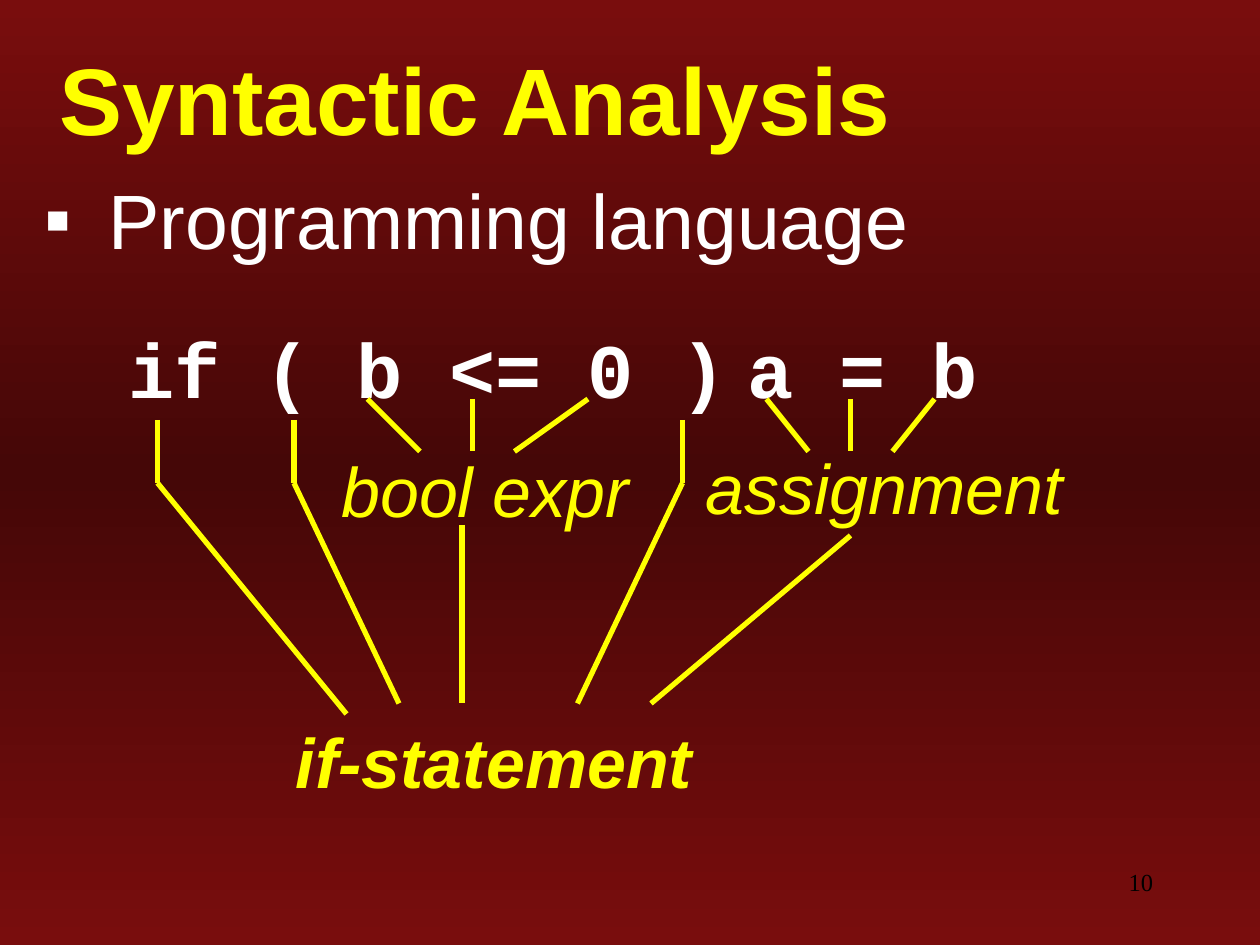
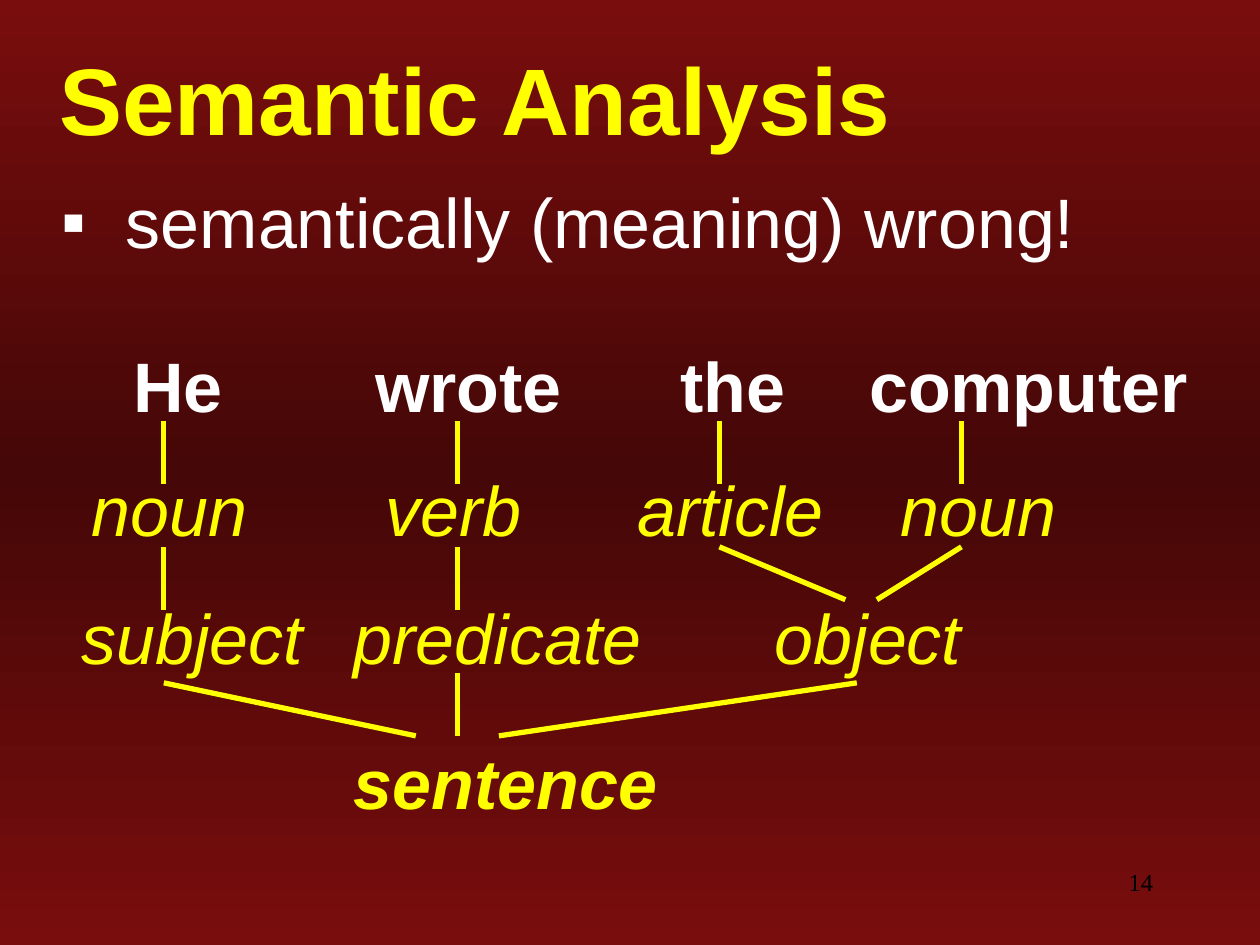
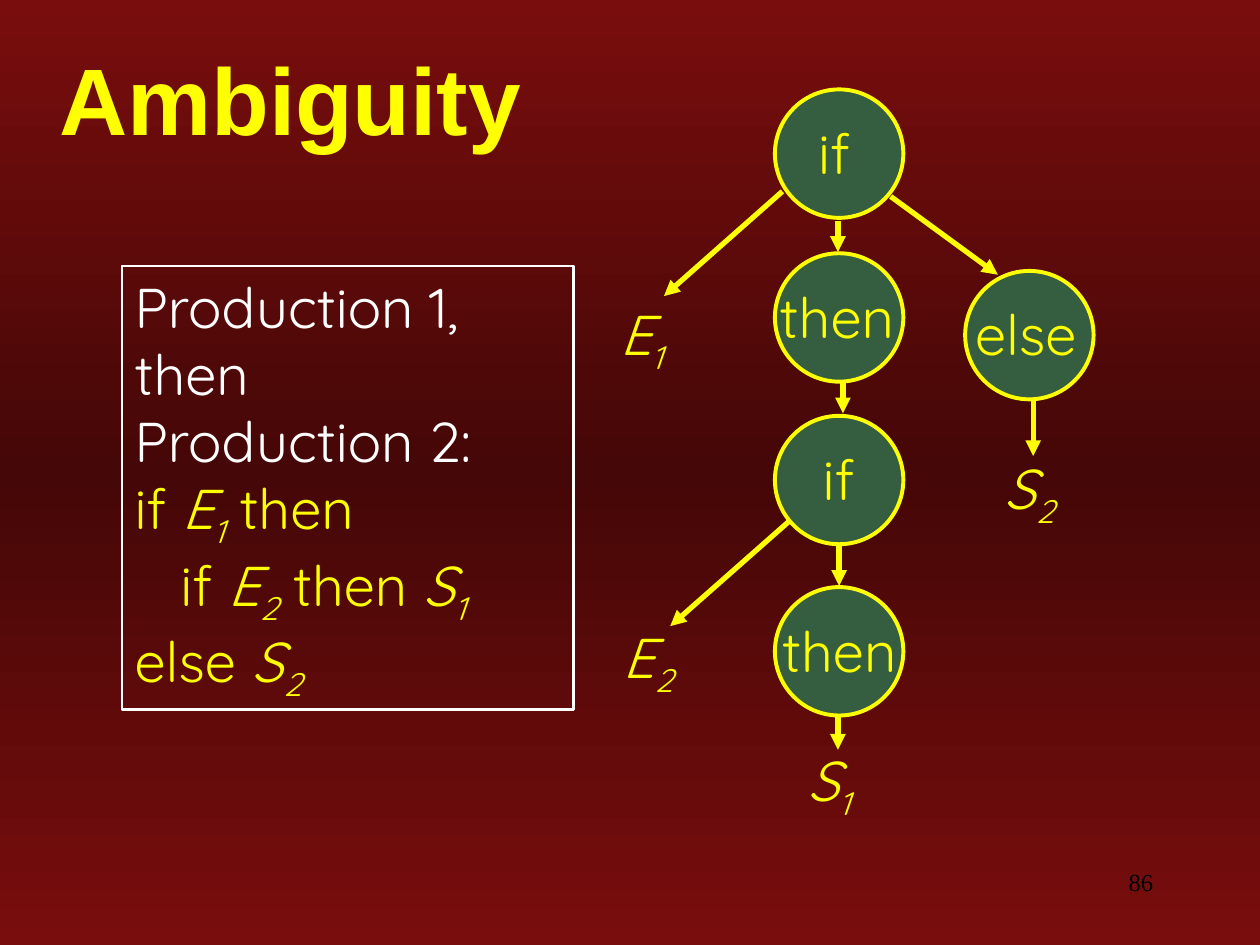
from copy import deepcopy

from lxml.etree import SubElement
from pptx import Presentation
from pptx.dml.color import RGBColor
from pptx.enum.shapes import MSO_CONNECTOR, MSO_SHAPE
from pptx.enum.text import MSO_ANCHOR, MSO_AUTO_SIZE, PP_ALIGN
from pptx.oxml import parse_xml
from pptx.oxml.ns import nsdecls, qn
from pptx.util import Pt

COLORS = {
    "edge": "790D0D",
    "middle": "450707",
    "yellow": "FFFF00",
    "white": "FFFFFF",
    "black": "000000",
    "node": "345E3F",
    "shadow": "C0C0C0",
}

STYLES = {
    "title": dict(name="Arial", size=54, color="yellow", bold=True),
    "code": dict(name="Courier New", size=44, color="white", bold=True),
    "word": dict(name="Arial", size=40, color="white", bold=True),
    "term": dict(name="Arial", size=40, color="yellow", italic=True),
    "root": dict(name="Arial", size=40, color="yellow", bold=True, italic=True),
    "number": dict(name="Times New Roman", size=14, color="black"),
    "plain": dict(name="Quicksand", size=32, color="white"),
    "grammar": dict(name="Quicksand", size=32, color="yellow"),
}

HEIGHTS = {"code": 60.5, "word": 55.4, "term": 55.4, "root": 55.4}

PARSE_TREES = [
    {
        "title": "Syntactic Analysis",
        "number": "10",
        "bullet": ("Programming language", 44, (18, 95, 702, 77.8)),
        "rows": [
            ("code", 180, [("if", 66.2, 84), ("( b <= 0 )", 144, 282),
                           ("a = b", 419.8, 180)]),
            ("term", 252, [("bool expr", 187.9, 206.6)]),
            ("term", 250.6, [("assignment", 396, 234)]),
            ("root", 406.8, [("if-statement", 162, 282)]),
        ],
        "stems": [(240, 276, [90, 168, 390]), (228, 258, [270, 486]),
                  (300, 402, [264])],
        "branches": [
            (210, 228, 240, 258), (336, 228, 294, 258),
            (438, 228, 462, 258), (534, 228, 510, 258),
            (90, 276, 198, 408), (168, 276, 228, 402),
            (390, 276, 330, 402), (486, 306, 372, 402),
        ],
    },
    {
        "title": "Semantic Analysis",
        "number": "14",
        "bullet": ("semantically (meaning) wrong!", 40, (28, 98.6, 702, 84.2)),
        "rows": [
            ("word", 192.2, [("He", 69.1, 84), ("wrote", 207.4, 144),
                             ("the", 381.6, 144), ("computer", 489.6, 210)]),
            ("term", 262.8, [("noun", 45.4, 114), ("verb", 213.1, 144),
                             ("article", 357.1, 144), ("noun", 507.6, 168)]),
            ("term", 336.2, [("subject", 39.6, 144), ("predicate", 195.1, 186),
                             ("object", 435.6, 144)]),
            ("root", 419, [("sentence", 195.1, 210)]),
        ],
        "stems": [(240.5, 276.5, [93.6, 261.4, 411.1, 549.4]),
                  (312.5, 348.5, [93.6, 261.4]), (384.5, 420.5, [261.4])],
        "branches": [
            (411.1, 312.5, 483.1, 342.7), (549.4, 312.5, 501.1, 342.7),
            (93.6, 390.2, 237.6, 420.5), (489.6, 390.2, 285.1, 420.5),
        ],
    },
]

AMBIGUITY = {"title": "Ambiguity", "number": "86"}
E1, E2, S1, S2 = [[(letter, "italic"), (digit, "subscript")]
                  for letter, digit in ("E1", "E2", "S1", "S2")]
DERIVATION = [
    ("plain", [("Production 1, then", "")]),
    ("plain", [("Production 2:", "")]),
    ("grammar", [("if ", ""), *E1, (" then", "")]),
    ("grammar", [("   if ", ""), *E2, (" then ", ""), *S1]),
    ("grammar", [("else ", ""), *S2]),
]
NODE_SIZE = 73.4
NODES = [
    ("if", 442.8, 51.1, -2.9, 73.4, PP_ALIGN.CENTER),
    ("then", 442.8, 144.7, -4.3, 89.3, PP_ALIGN.LEFT),
    ("if", 442.8, 237.6, 2.9, 67, PP_ALIGN.CENTER),
    ("then", 442.8, 335.5, -2.9, 89.3, PP_ALIGN.LEFT),
    ("else", 551.5, 154.8, -1.4, 89.3, PP_ALIGN.LEFT),
]
SYMBOLS = [(E1, 347, 167.8), (S1, 454.3, 422.6), (S2, 566.6, 255.6), (E2, 348.5, 352.1)]
ARROWS = [
    (481.7, 216.7, 481.7, 236.2), (478.8, 126, 478.8, 144),
    (447.1, 109.4, 379.4, 169.2), (509, 112.3, 570.2, 157),
    (479.5, 309.6, 479.5, 334.8), (590.4, 228.2, 590.4, 260.6),
    (478.8, 409.7, 478.8, 428.4), (450.7, 298.1, 383, 357.8),
]


def rgb(key):
    return RGBColor.from_string(COLORS[key])


def format_span(span, style, size=None):
    look = STYLES[style]
    font = span.font
    font.name = look["name"]
    font.size = Pt(size or look["size"])
    font.bold = look.get("bold", False)
    font.italic = look.get("italic", False)
    font.color.rgb = rgb(look["color"])


def fill_spans(para, parts, style):
    for text, accent in parts:
        span = para.add_run()
        span.text = text
        format_span(span, style)
        span.font.italic = bool(accent)
        if accent == "subscript":
            span.font._element.set("baseline", "-25000")


def place(shape, frame):
    shape.left, shape.top, shape.width, shape.height = map(Pt, frame)


def add_box(slide, frame):
    box = slide.shapes.add_textbox(*map(Pt, frame))
    box.text_frame.word_wrap = True
    return box


def add_text(slide, text, frame, style, align=PP_ALIGN.LEFT):
    para = add_box(slide, frame).text_frame.paragraphs[0]
    para.text = text
    para.alignment = align
    format_span(para.runs[0], style)


def add_line(slide, ends, arrow=False):
    line = slide.shapes.add_connector(MSO_CONNECTOR.STRAIGHT, *map(Pt, ends))
    line.line.color.rgb = rgb("yellow")
    line.line.width = Pt(3)
    if arrow:
        SubElement(line.line._get_or_add_ln(), qn("a:tailEnd"), type="triangle")
    SubElement(line._element.spPr, qn("a:effectLst"))


def add_slide(deck, layout, content):
    slide = deck.slides.add_slide(deck.slide_layouts[layout])
    title = slide.shapes.title
    place(title, (26.6, 26.1, 693.4, 59.8))
    frame = title.text_frame
    frame.text = content["title"]
    frame.auto_size = MSO_AUTO_SIZE.NONE
    frame.vertical_anchor = MSO_ANCHOR.MIDDLE
    para = frame.paragraphs[0]
    para.alignment = PP_ALIGN.LEFT
    span = para.runs[0]
    format_span(span, "title")
    span.font._element.find(qn("a:solidFill")).addnext(parse_xml(
        f'<a:effectLst {nsdecls("a")}><a:outerShdw dist="25400" dir="2700000">'
        f'<a:srgbClr val="{COLORS["shadow"]}"/></a:outerShdw></a:effectLst>'))
    add_text(slide, content["number"], (516, 492, 150, 36), "number", PP_ALIGN.RIGHT)
    return slide


def add_bullet(slide, text, size, frame):
    body = slide.placeholders[1]
    place(body, frame)
    body.text_frame.text = text
    body.text_frame.auto_size = MSO_AUTO_SIZE.NONE
    para = body.text_frame.paragraphs[0]
    para.space_before = Pt(0)
    props = para._p.get_or_add_pPr()
    props.set("marL", str(Pt(36.7)))
    props.set("indent", str(Pt(-36.7)))
    color = SubElement(props, qn("a:buClr"))
    SubElement(color, qn("a:srgbClr"), val=COLORS["white"])
    SubElement(props, qn("a:buFont"), typeface="Arial")
    SubElement(props, qn("a:buChar"), char="▪")
    format_span(para.runs[0], "plain", size)
    para.runs[0].font.name = "Arial"


def build_parse_tree(deck, content):
    slide = add_slide(deck, 1, content)
    add_bullet(slide, *content["bullet"])
    for style, top, words in content["rows"]:
        for text, left, width in words:
            add_text(slide, text, (left, top, width, HEIGHTS[style]), style)
    for top, bottom, columns in content["stems"]:
        for x in columns:
            add_line(slide, (x, top, x, bottom))
    for ends in content["branches"]:
        add_line(slide, ends)


def build_ambiguity(deck):
    slide = add_slide(deck, 5, AMBIGUITY)
    derivation = add_box(slide, (69.8, 151.9, 257.8, 253.4))
    derivation.line.color.rgb = rgb("white")
    derivation.line.width = Pt(1.5)
    frame = derivation.text_frame
    for index, (style, parts) in enumerate(DERIVATION):
        para = frame.add_paragraph() if index else frame.paragraphs[0]
        fill_spans(para, parts, style)
    for ends in ARROWS:
        add_line(slide, ends, arrow=True)
    for text, left, top, shift, width, align in NODES:
        node = slide.shapes.add_shape(
            MSO_SHAPE.OVAL, *map(Pt, (left, top, NODE_SIZE, NODE_SIZE)))
        node.shadow.inherit = False
        node.fill.solid()
        node.fill.fore_color.rgb = rgb("node")
        node.line.color.rgb = rgb("yellow")
        node.line.width = Pt(2.25)
        add_text(slide, text, (left + shift, top + 13, width, 46.1), "grammar", align)
    for parts, left, top in SYMBOLS:
        symbol = add_box(slide, (left, top, 65.5, 51.1))
        fill_spans(symbol.text_frame.paragraphs[0], parts, "grammar")


def paint_background(deck):
    fill = deck.slide_master.background.fill
    fill.gradient()
    fill.gradient_angle = 90
    last = fill.gradient_stops[1]._gs
    last.addnext(deepcopy(last))
    for stop, position, key in zip(fill.gradient_stops, (0, 0.5, 1),
                                   ("edge", "middle", "edge")):
        stop.position = position
        stop.color.rgb = rgb(key)


def main():
    deck = Presentation()
    deck.slide_width, deck.slide_height = Pt(720), Pt(540)
    paint_background(deck)
    for content in PARSE_TREES:
        build_parse_tree(deck, content)
    build_ambiguity(deck)
    deck.save("out.pptx")


if __name__ == "__main__":
    main()
